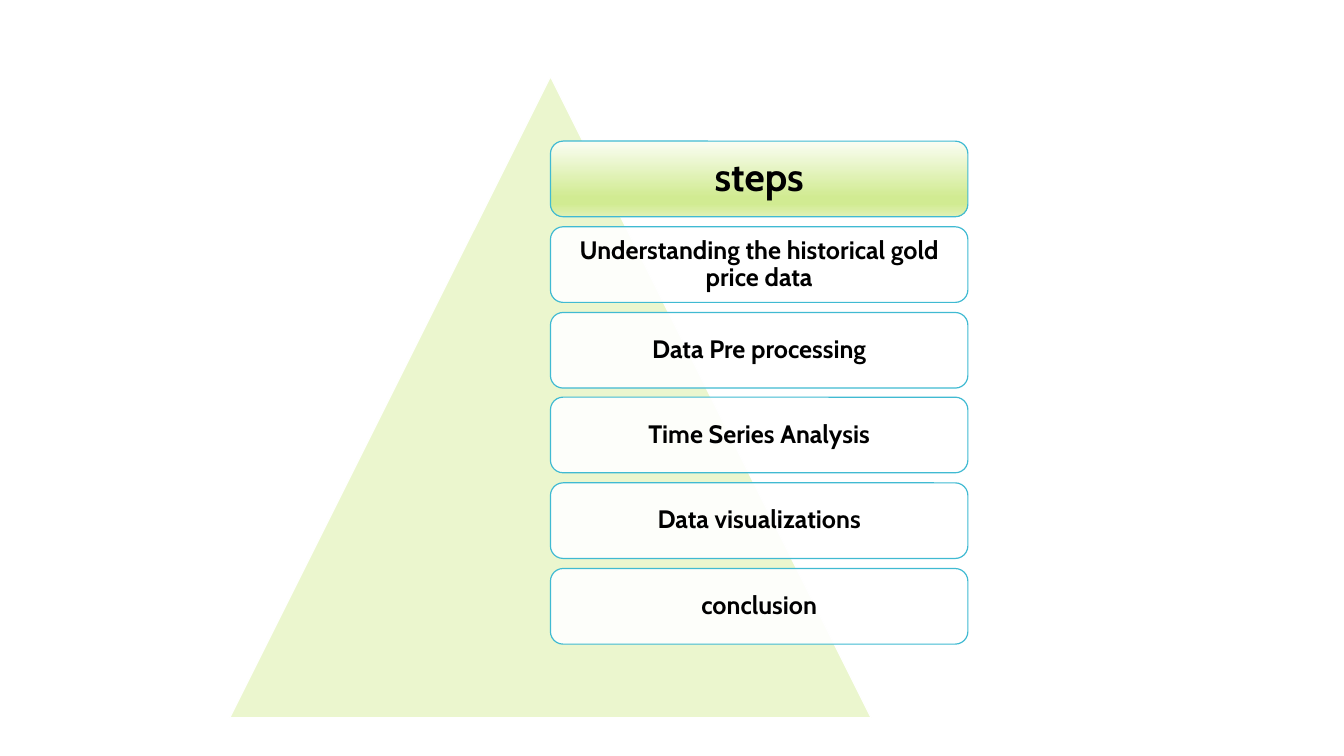
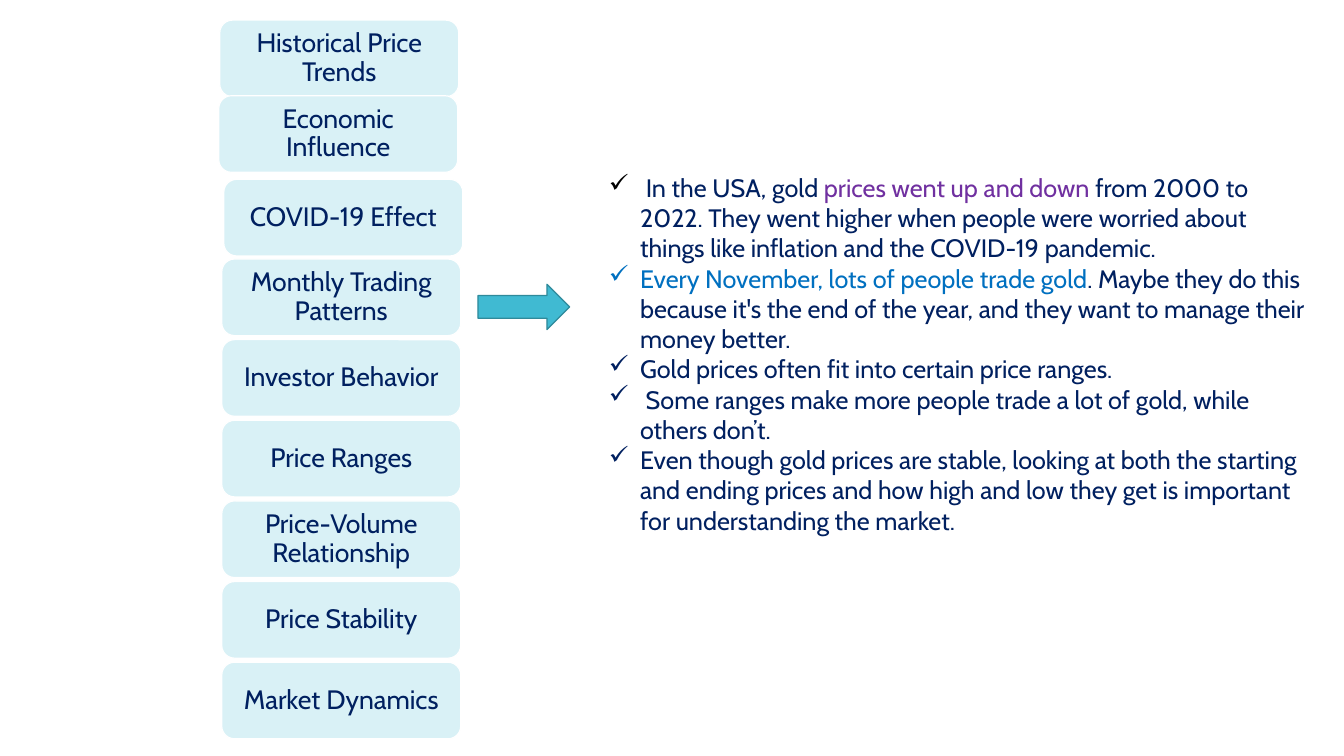
from copy import deepcopy

from lxml import etree
from pptx import Presentation
from pptx import util as u
from pptx.dml.color import RGBColor
from pptx.enum import shapes, text
from pptx.oxml import ns

PX = 9144
SLIDE_WIDTH, SLIDE_HEIGHT = 1333, 750
FONT = "Cabin"
LINE_WIDTH = u.Pt(0.85)

WHITE = RGBColor(0xFF, 0xFF, 0xFF)
BLACK = RGBColor(0x00, 0x00, 0x00)
NAVY = RGBColor(0x00, 0x20, 0x60)
PURPLE = RGBColor(0x70, 0x30, 0xA0)
BLUE = RGBColor(0x00, 0x70, 0xC0)
TEAL = RGBColor(0x40, 0xBA, 0xD2)
DARK_TEAL = RGBColor(0x2F, 0x8A, 0x9B)
PALE_TEAL = RGBColor(0xD9, 0xF1, 0xF6)
PALE_GREEN = RGBColor(0xEB, 0xF6, 0xCE)
HEADER_STOPS = [
    (0, RGBColor(0xFA, 0xFD, 0xF3)),
    (0.74, RGBColor(0xD1, 0xEB, 0x92)),
    (0.83, RGBColor(0xD1, 0xEB, 0x92)),
    (1, RGBColor(0xE1, 0xF1, 0xB6)),
]

STEPS_TITLE = "steps"
STEPS = [
    "Understanding the historical gold price data",
    "Data Pre processing",
    "Time Series Analysis",
    "Data visualizations",
    "conclusion",
]
STEPS_LEFT, STEPS_FIRST_TOP, STEPS_LAST_TOP = 546, 140, 564
STEP_SIZE = (414, 75)

TOPICS = [
    ("Historical Price Trends", -2, 3),
    ("Economic Influence", -3, -2),
    ("COVID-19 Effect", 2, 1),
    ("Monthly Trading Patterns", 0, 0),
    ("Investor Behavior", 0, 0),
    ("Price Ranges", 0, 0),
    ("Price-Volume Relationship", 0, 0),
    ("Price Stability", 0, 0),
    ("Market Dynamics", 0, 0),
]
TOPICS_LEFT, TOPICS_TOP, TOPIC_PITCH = 220, 17, 80
TOPIC_SIZE = (237, 76)

FINDINGS = [
    [
        (" ", BLACK),
        ("In the USA, gold ", NAVY),
        ("prices went up and down ", PURPLE),
        ("from 2000 to 2022. They went higher when people were worried about "
         "things like inflation and the COVID-19 pandemic.", NAVY),
    ],
    [
        ("Every November, lots of people trade gold", BLUE),
        (". Maybe they do this because it's the end of the year, and they want "
         "to manage their money better.", NAVY),
    ],
    [("Gold prices often fit into certain price ranges.", NAVY)],
    [(" Some ranges make more people trade a lot of gold, while others don’t.", NAVY)],
    [("Even though gold prices are stable, looking at both the starting and "
      "ending prices and how high and low they get is important for "
      "understanding the market.", NAVY)],
]
FINDINGS_BOX = (594, 166, 712, 404)
FINDINGS_INDENT = 31


def px(*lengths):
    return [length * PX for length in lengths]


def add_span(para, words, size, color, bold=False):
    span = para.add_run()
    span.text = words
    span.font.name = FONT
    span.font.size = u.Pt(size)
    span.font.bold = bold
    span.font.color.rgb = color


def add_box(page, preset, place, fill, line):
    box = page.shapes.add_shape(preset, *px(*place))
    box.shadow.inherit = False
    box.fill.solid()
    box.fill.fore_color.rgb = fill
    box.line.color.rgb = line
    box.line.width = LINE_WIDTH
    return box


def add_label_box(page, place, fill, line, words, size, color, insets, bold=False):
    box = add_box(page, shapes.MSO_SHAPE.ROUNDED_RECTANGLE, place, fill, line)
    frame = box.text_frame
    frame.word_wrap = True
    frame.vertical_anchor = text.MSO_ANCHOR.MIDDLE
    side, edge = px(*insets)
    frame.margin_left = frame.margin_right = side
    frame.margin_top = frame.margin_bottom = edge
    para = frame.paragraphs[0]
    para.alignment = text.PP_ALIGN.CENTER
    para.line_spacing = 0.9
    add_span(para, words, size, color, bold)
    return box


def set_opacity(box, percent):
    color = box.element.spPr.find(ns.qn("a:solidFill"))[0]
    etree.SubElement(color, ns.qn("a:alpha"), val=str(percent * 1000))


def set_gradient(box, stops):
    box.fill.gradient()
    box.fill.gradient_angle = 270
    stop_list = box.element.spPr.find(ns.qn("a:gradFill")).find(ns.qn("a:gsLst"))
    while len(stop_list) < len(stops):
        stop_list.append(deepcopy(stop_list[0]))
    for stop, (position, color) in zip(box.fill.gradient_stops, stops):
        stop.position = position
        stop.color.rgb = color


def add_check_bullet(para, indent):
    properties = para._p.get_or_add_pPr()
    properties.set("marL", str(indent * PX))
    properties.set("indent", str(-indent * PX))
    etree.SubElement(properties, ns.qn("a:buChar"), char="✓")


def build_steps(page):
    add_box(page, shapes.MSO_SHAPE.ISOSCELES_TRIANGLE, (228, 76, 636, 636), PALE_GREEN, WHITE)
    pitch = (STEPS_LAST_TOP - STEPS_FIRST_TOP) / len(STEPS)
    for index, words in enumerate([STEPS_TITLE] + STEPS):
        is_title = index == 0
        top = round(STEPS_FIRST_TOP + index * pitch)
        size, inset = (28, 12) if is_title else (18, 7)
        box = add_label_box(page, (STEPS_LEFT, top, *STEP_SIZE), WHITE, TEAL,
                            words, size, BLACK, (inset, inset), bold=True)
        if is_title:
            set_gradient(box, HEADER_STOPS)
        else:
            set_opacity(box, 90)


def build_findings(page):
    for index, (words, shift_x, shift_y) in enumerate(TOPICS):
        place = (TOPICS_LEFT + shift_x, TOPICS_TOP + index * TOPIC_PITCH + shift_y, *TOPIC_SIZE)
        add_label_box(page, place, PALE_TEAL, WHITE, words, 19, NAVY, (8, 4))
    add_box(page, shapes.MSO_SHAPE.RIGHT_ARROW, (474, 282, 91, 45), TEAL, DARK_TEAL)
    frame = page.shapes.add_textbox(*px(*FINDINGS_BOX)).text_frame
    frame.word_wrap = True
    for index, finding in enumerate(FINDINGS):
        para = frame.add_paragraph() if index else frame.paragraphs[0]
        add_check_bullet(para, FINDINGS_INDENT)
        for words, color in finding:
            add_span(para, words, 18, color)


def main():
    deck = Presentation()
    deck.slide_width, deck.slide_height = px(SLIDE_WIDTH, SLIDE_HEIGHT)
    for build in (build_steps, build_findings):
        build(deck.slides.add_slide(deck.slide_layouts[6]))
    deck.save("out.pptx")


if __name__ == "__main__":
    main()
